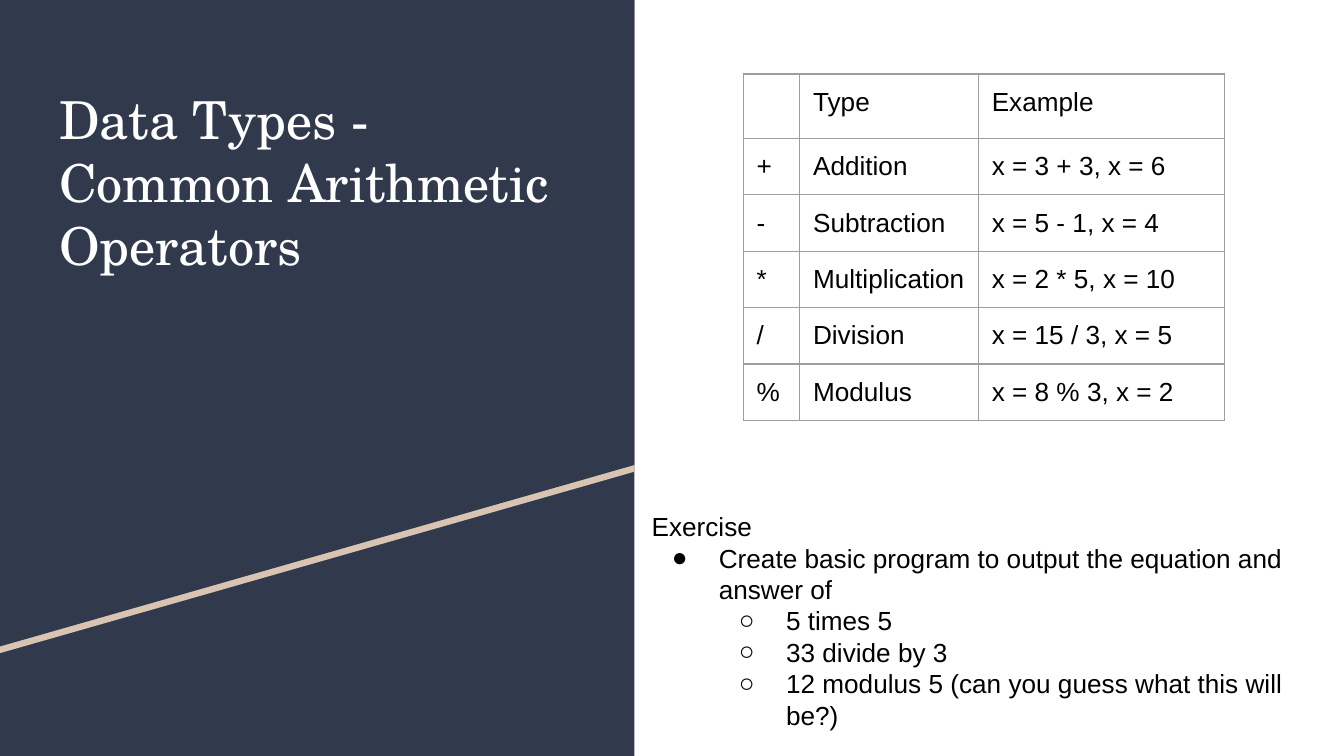
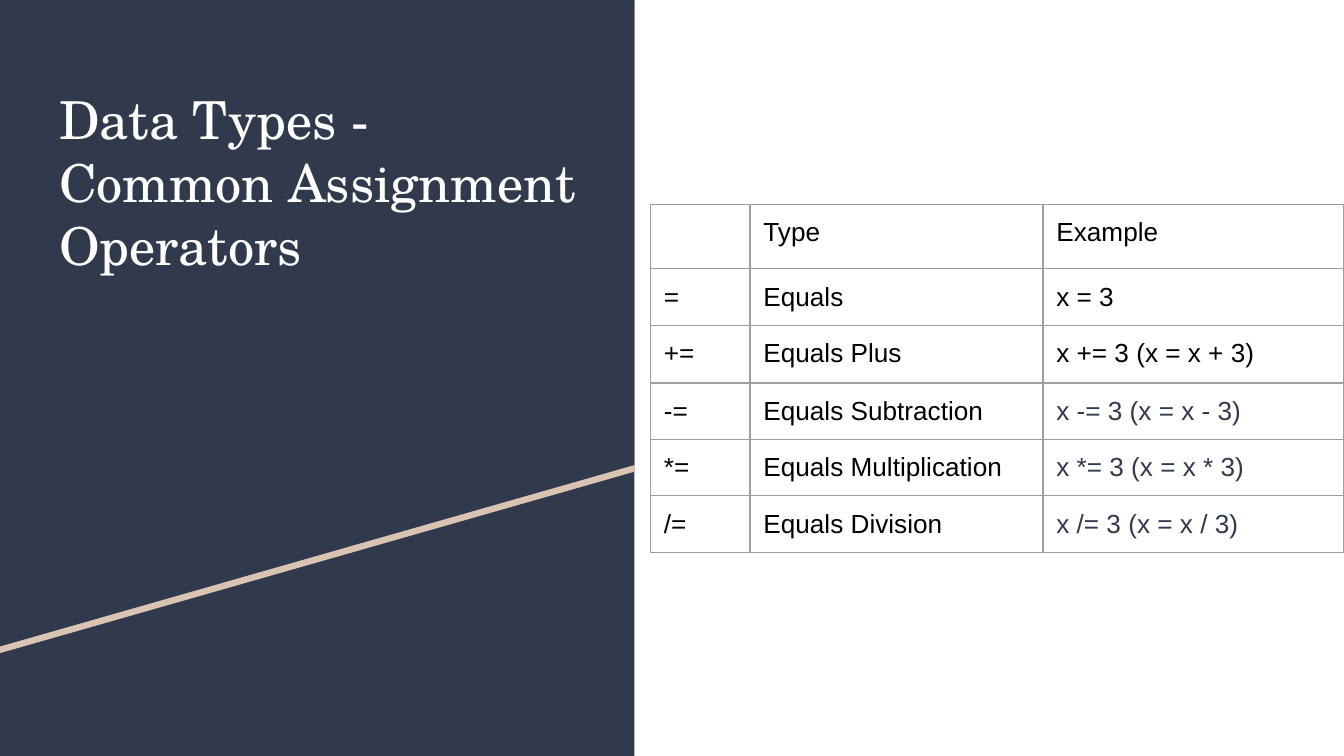
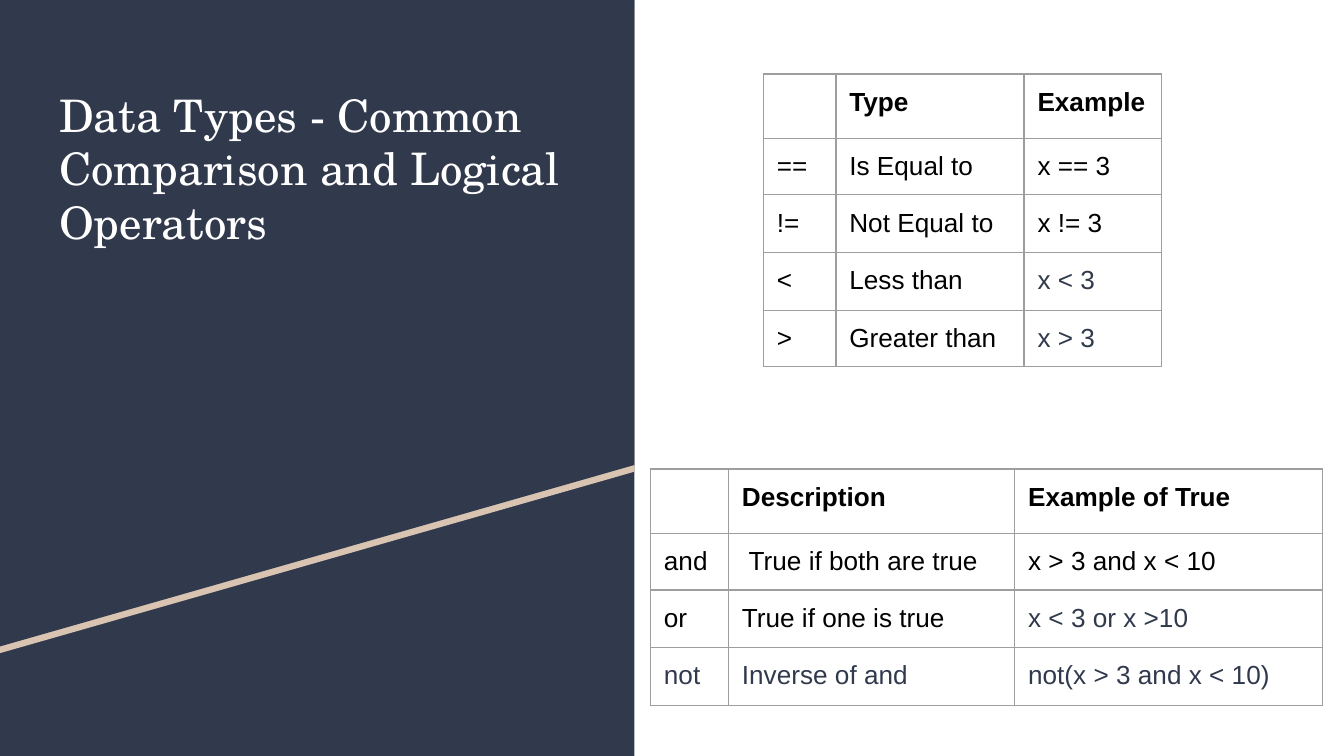
"""Build three slides of operator tables beside a shared dark title panel."""
from lxml.etree import SubElement
from pptx import Presentation
from pptx.dml.color import RGBColor
from pptx.enum.shapes import MSO_SHAPE
from pptx.enum.text import MSO_ANCHOR, MSO_AUTO_SIZE, PP_ALIGN
from pptx.oxml.ns import qn
from pptx.util import Inches, Pt

HUES = {"navy": "31394D", "sand": "D9C4B1", "white": "FFFFFF",
        "black": "000000", "grey": "9E9E9E"}
WIDE = 10
HIGH = WIDE * 9 / 16
PANEL = 0.472 * WIDE
PAD = Inches(0.1)

SLIDES = [
    {"title": "Data Types - Common Arithmetic Operators", "size": 28, "tables": [
        {"at": (5.53, 0.55), "cols": (0.42, 1.33, 1.83), "bold": False,
         "tall": {0}, "navy": set(), "rows": [
             ("", "Type", "Example"),
             ("+", "Addition", "x = 3 + 3, x = 6"),
             ("-", "Subtraction", "x = 5 - 1, x = 4"),
             ("*", "Multiplication", "x = 2 * 5, x = 10"),
             ("/", "Division", "x = 15 / 3, x = 5"),
             ("%", "Modulus", "x = 8 % 3, x = 2")]}]},
    {"title": "Data Types - Common Assignment Operators", "size": 28, "tables": [
        {"at": (4.84, 1.52), "cols": (0.74, 2.18, 2.24), "bold": False,
         "tall": {0, 2}, "navy": {(3, 2), (4, 2), (5, 2)}, "rows": [
             ("", "Type", "Example"),
             ("=", "Equals", "x = 3"),
             ("+=", "Equals Plus", "x += 3 (x = x + 3)"),
             ("-=", "Equals Subtraction", "x -= 3 (x = x - 3)"),
             ("*=", "Equals Multiplication", "x *= 3 (x = x * 3)"),
             ("/=", "Equals Division", "x /= 3 (x = x / 3)")]}]},
    {"title": "Data Types - Common Comparison and Logical Operators", "size": 24, "tables": [
        {"at": (5.68, 0.55), "cols": (0.54, 1.4, 1.02), "bold": True,
         "tall": {0, 2, 3}, "navy": {(3, 2), (4, 2)}, "rows": [
             ("", "Type", "Example"),
             ("==", "Is Equal to", "x == 3"),
             ("!=", "Not Equal to", "x != 3"),
             ("<", "Less than", "x < 3"),
             (">", "Greater than", "x > 3")]},
        {"at": (4.84, 3.49), "cols": (0.58, 2.13, 2.29), "bold": True,
         "tall": {0, 2, 3}, "navy": {(2, 2), (3, 0), (3, 1), (3, 2)}, "rows": [
             ("", "Description", "Example of True"),
             ("and", " True if both are true", "x > 3 and x < 10"),
             ("or", "True if one is true", "x < 3 or x >10"),
             ("not", "Inverse of and", "not(x > 3 and x < 10)")]}]},
]
TASKS = [
    (0, "Exercise"),
    (1, "Create basic program to output the equation and answer of"),
    (2, "5 times 5"),
    (2, "33 divide by 3"),
    (2, "12 modulus 5 (can you guess what this will be?)"),
]


def style(para, size, hue, face="Arial", bold=False):
    for run in para.runs:
        run.font.size = Pt(size)
        run.font.name = face
        run.font.bold = bold
        run.font.color.rgb = RGBColor.from_string(HUES[hue])


def inset(frame):
    frame.margin_left = frame.margin_right = PAD
    frame.margin_top = frame.margin_bottom = PAD


deck = Presentation()
deck.slide_width, deck.slide_height = Inches(WIDE), Inches(HIGH)
layout = deck.slide_layouts[5]
pages = [deck.slides.add_slide(layout) for _ in SLIDES]

shapes = pages[0].shapes
bands = [shapes.add_shape(MSO_SHAPE.RECTANGLE, 0, 0, Inches(PANEL), Inches(HIGH))]
for top, right, left in [(0.05, 3.51, 4.86), (0, 3.46, 4.81)]:
    pen = shapes.build_freeform(0, Inches(top))
    pen.add_line_segments([(Inches(x), Inches(y)) for x, y in
                           [(PANEL, top), (PANEL, right), (0, left)]])
    bands.append(pen.convert_to_shape())
for spot, (band, hue) in enumerate(zip(bands, ("navy", "sand", "navy"))):
    band.shadow.inherit = False
    band.fill.solid()
    band.fill.fore_color.rgb = RGBColor.from_string(HUES[hue])
    band.line.fill.background()
    layout.shapes._spTree.insert(2 + spot, band._element)

for page, data in zip(pages, SLIDES):
    title = page.shapes.title
    title.left, title.top = Inches(0.34), Inches(0.55)
    title.width, title.height = Inches(4.05), Inches(2.74)
    frame = title.text_frame
    frame.text = data["title"]
    frame.word_wrap = True
    frame.auto_size = MSO_AUTO_SIZE.NONE
    frame.vertical_anchor = MSO_ANCHOR.TOP
    inset(frame)
    frame.paragraphs[0].alignment = PP_ALIGN.LEFT
    style(frame.paragraphs[0], data["size"], "white", "TeX Gyre Schola")

    for part in data["tables"]:
        rows, cols = part["rows"], part["cols"]
        tall = [0.43 if r in part["tall"] else 0.42 for r in range(len(rows))]
        left, top = part["at"]
        grid = page.shapes.add_table(len(rows), len(cols), Inches(left), Inches(top),
                                     Inches(sum(cols)), Inches(sum(tall))).table
        grid.first_row = grid.horz_banding = False
        for col, width in zip(grid.columns, cols):
            col.width = Inches(width)
        for r, words in enumerate(rows):
            grid.rows[r].height = Inches(tall[r])
            for c, word in enumerate(words):
                cell = grid.cell(r, c)
                inset(cell)
                props = cell._tc.get_or_add_tcPr()
                for side in ("a:lnL", "a:lnR", "a:lnT", "a:lnB"):
                    edge = SubElement(props, qn(side), w=str(Pt(0.75)))
                    fill = SubElement(edge, qn("a:solidFill"))
                    SubElement(fill, qn("a:srgbClr"), val=HUES["grey"])
                cell.fill.background()
                para = cell.text_frame.paragraphs[0]
                if word:
                    para.text = word
                    hue = "navy" if (r, c) in part["navy"] else "black"
                    style(para, 14, hue, bold=part["bold"] and r == 0)
                else:
                    end = SubElement(para._p, qn("a:endParaRPr"), sz="1800")
                    SubElement(end, qn("a:latin"), typeface="Arial")

box = shapes.add_textbox(Inches(4.75), Inches(3.7), Inches(5.25), Inches(1.7))
frame = box.text_frame
frame.word_wrap = True
inset(frame)
frame.text = "\n".join(task for _, task in TASKS)
for para, (depth, _) in zip(frame.paragraphs, TASKS):
    style(para, 14, "black")
    if depth:
        para.level = depth - 1
        props = para._p.get_or_add_pPr()
        props.set("marL", str(Inches(0.5 * depth)))
        props.set("indent", str(Inches(-0.35)))
        tint = SubElement(props, qn("a:buClr"))
        SubElement(tint, qn("a:srgbClr"), val=HUES["black"])
        SubElement(props, qn("a:buFont"), typeface="Arial")
        SubElement(props, qn("a:buChar"), char="●○"[depth - 1])

deck.save("out.pptx")
